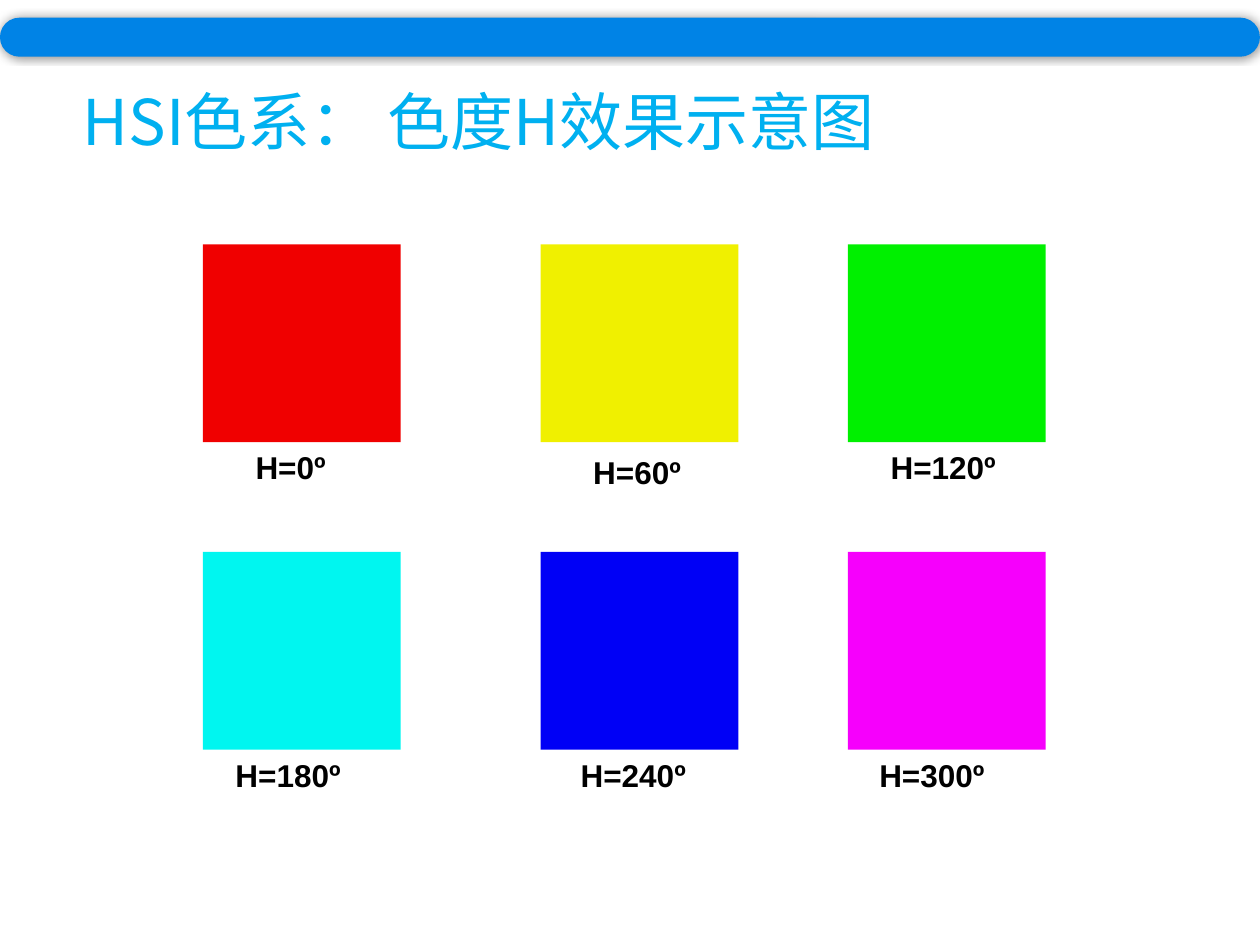
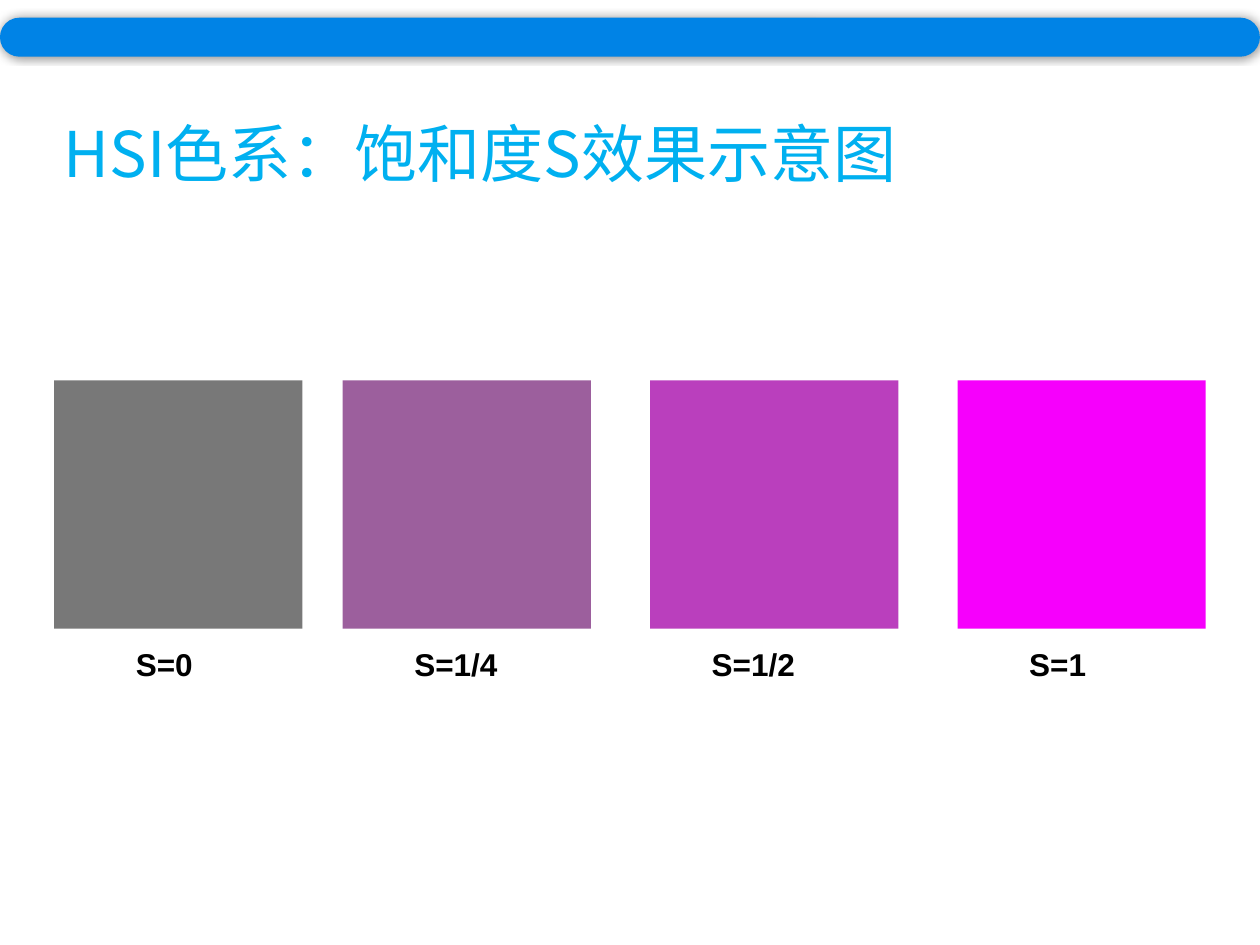
import pptx
import pptx.dml.color
import pptx.enum.shapes
import pptx.enum.text
import pptx.oxml
import pptx.oxml.ns
import pptx.util
from lxml import etree

Inches = pptx.util.Inches
Pt = pptx.util.Pt
RGBColor = pptx.dml.color.RGBColor
MSO_SHAPE = pptx.enum.shapes.MSO_SHAPE

BAND_BLUE = RGBColor(0x00, 0x83, 0xE6)
TITLE_BLUE = RGBColor(0x00, 0xB0, 0xF0)
BLACK = RGBColor(0x00, 0x00, 0x00)
RED = RGBColor(0xF0, 0x00, 0x00)
YELLOW = RGBColor(0xF0, 0xF0, 0x00)
GREEN = RGBColor(0x00, 0xF0, 0x00)
CYAN = RGBColor(0x00, 0xF6, 0xF0)
BLUE = RGBColor(0x00, 0x00, 0xF6)
MAGENTA = RGBColor(0xF6, 0x00, 0xFC)
GREY = RGBColor(0x78, 0x78, 0x78)
DULL_PURPLE = RGBColor(0x9C, 0x5F, 0x9D)
PURPLE = RGBColor(0xBA, 0x3F, 0xBD)

TITLE_FONT = "Noto Sans CJK SC"
LABEL_FONT = "Arial"
LABEL_HEIGHT = 0.4
NARROW, WIDE = 0.94, 1.18

HUE_SIZE = 1.57
HUE_COLUMNS = (1.61, 4.29, 6.73)
HUE_ROWS = (1.94, 4.38)
HUES = (
    ("H=0º", RED, 0.32, 0, NARROW),
    ("H=60º", YELLOW, 0.32, 0.04, NARROW),
    ("H=120º", GREEN, 0.24, 0, WIDE),
    ("H=180º", CYAN, 0.16, 0, WIDE),
    ("H=240º", BLUE, 0.22, 0, WIDE),
    ("H=300º", MAGENTA, 0.15, 0, WIDE),
)

SATURATION_SIZE = 1.97
SATURATION_TOP = 3.02
SATURATION_LABEL_GAP = 0.08
SATURATIONS = (
    ("S=0", GREY, 0.43, 0.55, NARROW),
    ("S=1/4", DULL_PURPLE, 2.72, 0.47, WIDE),
    ("S=1/2", PURPLE, 5.16, 0.39, WIDE),
    ("S=1", MAGENTA, 7.6, 0.47, WIDE),
)

BAND_SHADOW = (
    '<a:effectLst xmlns:a="http://schemas.openxmlformats.org/drawingml/2006/main">'
    '<a:outerShdw blurRad="63500" dist="0" dir="0" algn="ctr" rotWithShape="0">'
    '<a:srgbClr val="000000"><a:alpha val="40000"/></a:srgbClr>'
    "</a:outerShdw></a:effectLst>"
)


def add_filled(shapes, preset, box, colour):
    """Add an outline-free shape with a solid fill."""
    filled = shapes.add_shape(preset, *map(Inches, box))
    filled.shadow.inherit = False
    filled.fill.solid()
    filled.fill.fore_color.rgb = colour
    filled.line.fill.background()
    return filled


def add_text(shapes, box, text, size, font_name, colour):
    """Add a wrapping one-paragraph text box and return it with its run."""
    text_box = shapes.add_textbox(*map(Inches, box))
    frame = text_box.text_frame
    frame.word_wrap = True
    frame.text = text
    run = frame.paragraphs[0].runs[0]
    run.font.size = Pt(size)
    run.font.name = font_name
    run.font.color.rgb = colour
    return frame, run


def add_title(slide, box, text):
    """Add the blue title with its East Asian font."""
    frame, run = add_text(slide.shapes, box, text, 36, TITLE_FONT, TITLE_BLUE)
    frame.vertical_anchor = pptx.enum.text.MSO_ANCHOR.MIDDLE
    frame.paragraphs[0].line_spacing = 0.9
    east_asian = etree.SubElement(run.font._element, pptx.oxml.ns.qn("a:ea"))
    east_asian.set("typeface", TITLE_FONT)


def add_band(slide):
    """Add the rounded band with a soft shadow across the top."""
    band = add_filled(slide.shapes, MSO_SHAPE.ROUNDED_RECTANGLE, (0, 0.14, 10, 0.31), BAND_BLUE)
    band.adjustments[0] = 0.5
    properties = band._element.spPr
    properties.remove(properties.find(pptx.oxml.ns.qn("a:effectLst")))
    properties.append(pptx.oxml.parse_xml(BAND_SHADOW))


def add_swatch(slide, left, top, size, colour, label, label_indent, label_gap, label_width):
    """Group a colour square with the label below it."""
    swatch = slide.shapes.add_group_shape().shapes
    add_filled(swatch, MSO_SHAPE.RECTANGLE, (left, top, size, size), colour)
    label_box = (left + label_indent, top + size + label_gap, label_width, LABEL_HEIGHT)
    frame, run = add_text(swatch, label_box, label, 18, LABEL_FONT, BLACK)
    frame.auto_size = pptx.enum.text.MSO_AUTO_SIZE.SHAPE_TO_FIT_TEXT
    run.font.bold = True


def build_hue_slide(slide):
    """Show six hues in a grid of two rows."""
    add_title(slide, (0.56, 0.52, 8.77, 0.94), "HSI色系： 色度H效果示意图")
    for index, (label, colour, indent, gap, width) in enumerate(HUES):
        row, column = divmod(index, len(HUE_COLUMNS))
        add_swatch(slide, HUE_COLUMNS[column], HUE_ROWS[row], HUE_SIZE,
                   colour, label, indent, gap, width)
    add_band(slide)


def build_saturation_slide(slide):
    """Show four saturations of magenta in one row."""
    add_title(slide, (0.41, 0.66, 8.74, 1.18), "HSI色系：饱和度S效果示意图")
    for label, colour, left, indent, width in SATURATIONS:
        add_swatch(slide, left, SATURATION_TOP, SATURATION_SIZE,
                   colour, label, indent, SATURATION_LABEL_GAP, width)
    add_band(slide)


def main():
    """Build and save the presentation."""
    presentation = pptx.Presentation()
    presentation.slide_width = Inches(10)
    presentation.slide_height = Inches(7.5)
    blank = presentation.slide_layouts[6]
    for build in (build_hue_slide, build_saturation_slide):
        build(presentation.slides.add_slide(blank))
    presentation.save("out.pptx")


if __name__ == "__main__":
    main()
